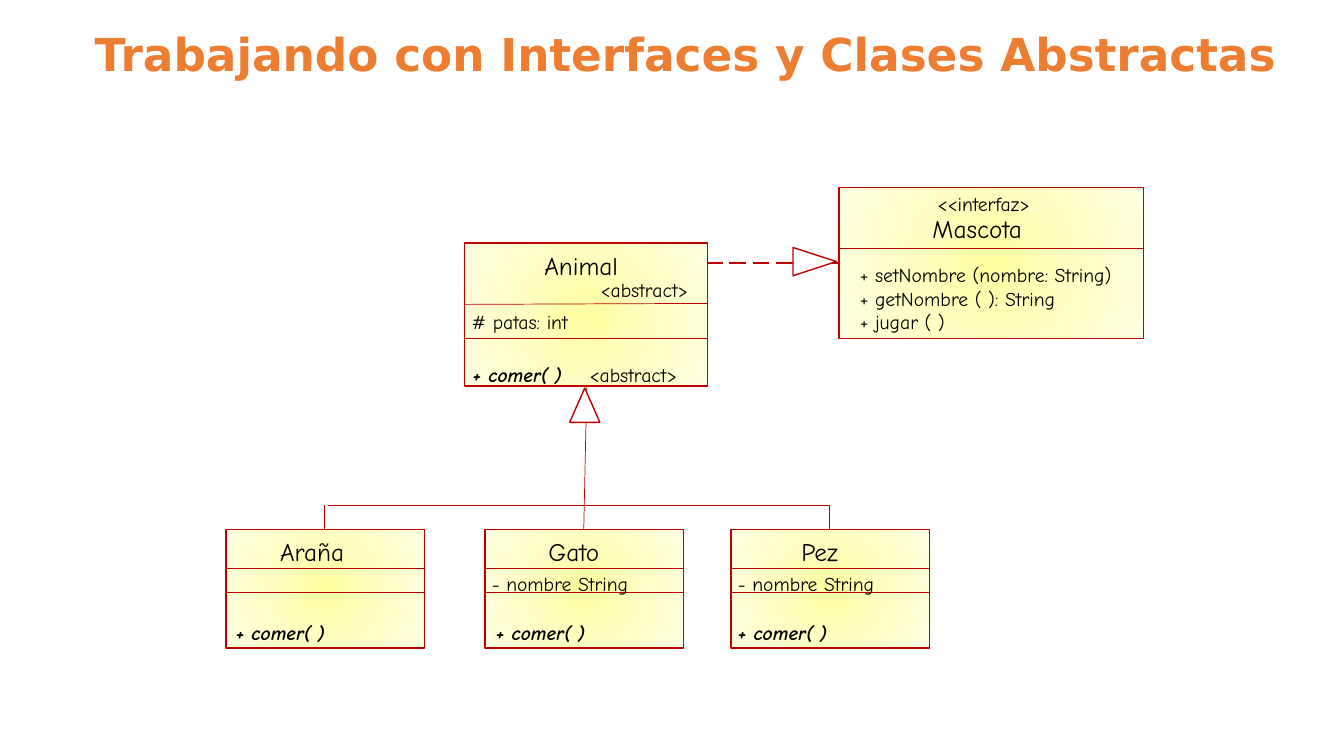
from lxml import etree
from pptx import Presentation
from pptx.dml.color import RGBColor
from pptx.enum.dml import MSO_LINE
from pptx.enum.shapes import MSO_CONNECTOR, MSO_SHAPE
from pptx.enum.text import MSO_ANCHOR, MSO_AUTO_SIZE, PP_ALIGN
from pptx.oxml import parse_xml
from pptx.oxml.ns import nsdecls, qn
from pptx.util import Inches, Pt

RECTANGLE, TRIANGLE = MSO_SHAPE.RECTANGLE, MSO_SHAPE.ISOSCELES_TRIANGLE
STRAIGHT, LONG_DASH = MSO_CONNECTOR.STRAIGHT, MSO_LINE.LONG_DASH
LEFT, CENTER = PP_ALIGN.LEFT, PP_ALIGN.CENTER
TOP, MIDDLE = MSO_ANCHOR.TOP, MSO_ANCHOR.MIDDLE
FIT_SHAPE, NO_FIT = MSO_AUTO_SIZE.SHAPE_TO_FIT_TEXT, MSO_AUTO_SIZE.NONE

ORANGE = RGBColor(0xED, 0x7D, 0x31)
RED = RGBColor(0xC0, 0x00, 0x00)
BLACK = RGBColor(0x00, 0x00, 0x00)
WHITE = RGBColor(0xFF, 0xFF, 0xFF)
YELLOW_STOPS = ((0, "FFFFA0"), (50, "FFFFC5"), (100, "FFFFE3"))

# Content: lengths in inches
TITLE = "Trabajando con Interfaces y Clases Abstractas"
NAME = {"size": 18}
METHOD = {"bold": True, "italic": True}

# Class boxes: left, top, width, height, then the start and end height of each divider
ANIMAL = (4.61, 2.41, 2.41, 1.42, ((3.02, 3.01), (3.36, 3.36)))
MASCOTA = (8.32, 1.86, 3.02, 1.5, ((2.46, 2.46),))

# Labels: text, left, top, width, height, format
LABELS = [
    ("Animal", 5.3, 2.43, 0.97, 0.4, NAME),
    ("<abstract>", 5.86, 2.71, 1.14, 0.34, {}),
    ("# patas: int", 4.58, 3.03, 1.29, 0.34, {}),
    ("+ comer( )", 4.59, 3.55, 1.29, 0.34, METHOD),
    ("<abstract>", 5.75, 3.55, 1.14, 0.34, {}),
    ("Mascota", 9.15, 2.07, 1.19, 0.4, NAME),
    ("<<interfaz>", 9.2, 1.86, 1.19, 0.34, {}),
    ("+ setNombre (nombre: String)\n+ getNombre ( ): String\n+ jugar ( )",
     8.43, 2.56, 2.96, 0.81, {}),
]

# Subclasses: name, box left, name left, name width, attribute, method left
SUBCLASSES = [
    ("Araña", 2.24, 2.68, 0.9, None, 2.24),
    ("Gato", 4.81, 5.34, 0.76, "- nombre String", 4.82),
    ("Pez", 7.25, 7.85, 0.61, "- nombre String", 7.22),
]
SUBCLASS_TOP, SUBCLASS_WIDTH, SUBCLASS_HEIGHT = 5.25, 1.97, 1.18
SUBCLASS_DIVIDERS = ((5.64, 5.64), (5.88, 5.88))
BRANCH_TOP = 5.01

presentation = Presentation()
presentation.slide_width = Inches(13.33)
presentation.slide_height = Inches(7.5)
slide = presentation.slides.add_slide(presentation.slide_layouts[6])


def add_text(text, left, top, width, height, *, size=14, font="Comic Neue", color=BLACK,
             bold=False, italic=False, align=LEFT, anchor=TOP, wrap=False,
             fit=FIT_SHAPE, spacing=1.0):
    box = slide.shapes.add_textbox(Inches(left), Inches(top), Inches(width), Inches(height))
    frame = box.text_frame
    frame.text = text
    frame.word_wrap = wrap
    frame.auto_size = fit
    frame.vertical_anchor = anchor
    for paragraph in frame.paragraphs:
        paragraph.alignment = align
        paragraph.line_spacing = spacing
        for run in paragraph.runs:
            run.font.size = Pt(size)
            run.font.name = font
            run.font.color.rgb = color
            run.font.bold = bold
            run.font.italic = italic


def add_line(x1, y1, x2, y2, weight=0.5, dash=None):
    line = slide.shapes.add_connector(STRAIGHT, Inches(x1), Inches(y1), Inches(x2), Inches(y2))
    line.line.color.rgb = RED
    line.line.width = Pt(weight)
    if dash is not None:
        line.line.dash_style = dash
    etree.SubElement(line._element.spPr, qn("a:effectLst"))


def add_outlined(kind, left, top, width, height, rotation=0):
    shape = slide.shapes.add_shape(kind, Inches(left), Inches(top), Inches(width), Inches(height))
    shape.shadow.inherit = False
    shape.rotation = rotation
    shape.fill.solid()
    shape.fill.fore_color.rgb = WHITE
    shape.line.color.rgb = RED
    shape.line.width = Pt(1)
    return shape


def add_class_box(left, top, width, height, dividers):
    box = add_outlined(RECTANGLE, left, top, width, height)
    stops = "".join(f'<a:gs pos="{position * 1000}"><a:srgbClr val="{color}"/></a:gs>'
                    for position, color in YELLOW_STOPS)
    gradient = parse_xml(
        f'<a:gradFill {nsdecls("a")} rotWithShape="1"><a:gsLst>{stops}</a:gsLst>'
        '<a:path path="circle"><a:fillToRect l="50000" t="50000" r="50000" b="50000"/>'
        '</a:path></a:gradFill>')
    properties = box._element.spPr
    properties.replace(properties.find(qn("a:solidFill")), gradient)
    for start, end in dividers:
        add_line(left, start, left + width, end)


# Title
add_text(TITLE, 0.73, 0.29, 12.14, 0.55, size=32.4, font="DejaVu Sans", color=ORANGE,
         bold=True, align=CENTER, anchor=MIDDLE, wrap=True, fit=NO_FIT, spacing=0.9)

# Parent class and interface
add_class_box(*ANIMAL)
add_class_box(*MASCOTA)
for text, left, top, width, height, style in LABELS:
    add_text(text, left, top, width, height, **style)

# Subclasses
for name, left, name_left, name_width, attribute, method_left in SUBCLASSES:
    add_class_box(left, SUBCLASS_TOP, SUBCLASS_WIDTH, SUBCLASS_HEIGHT, SUBCLASS_DIVIDERS)
    add_text(name, name_left, 5.27, name_width, 0.4, **NAME)
    if attribute:
        add_text(attribute, left - 0.03, 5.62, 1.66, 0.34)
    add_text("+ comer( )", method_left, 6.11, 1.29, 0.34, **METHOD)

# Inheritance tree
add_line(3.25, BRANCH_TOP, 8.22, BRANCH_TOP)
add_line(5.82, 3.83, 5.79, SUBCLASS_TOP)
for x in (3.22, 8.23):
    add_line(x, BRANCH_TOP, x, SUBCLASS_TOP)
add_outlined(TRIANGLE, 5.65, 3.85, 0.3, 0.34)

# Interface implementation
add_line(8.32, 2.61, 7.01, 2.61, weight=1.5, dash=LONG_DASH)
add_outlined(TRIANGLE, 7.94, 2.38, 0.28, 0.43, rotation=90)

presentation.save("out.pptx")
